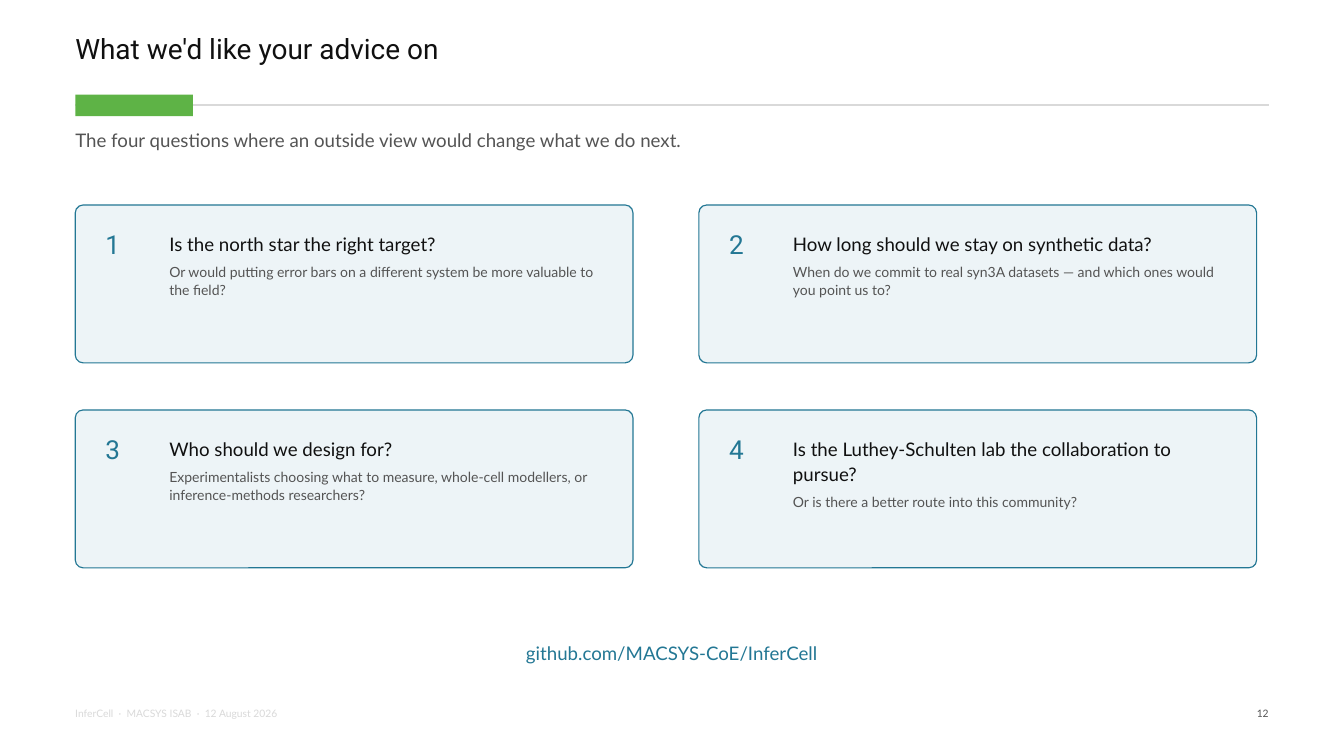
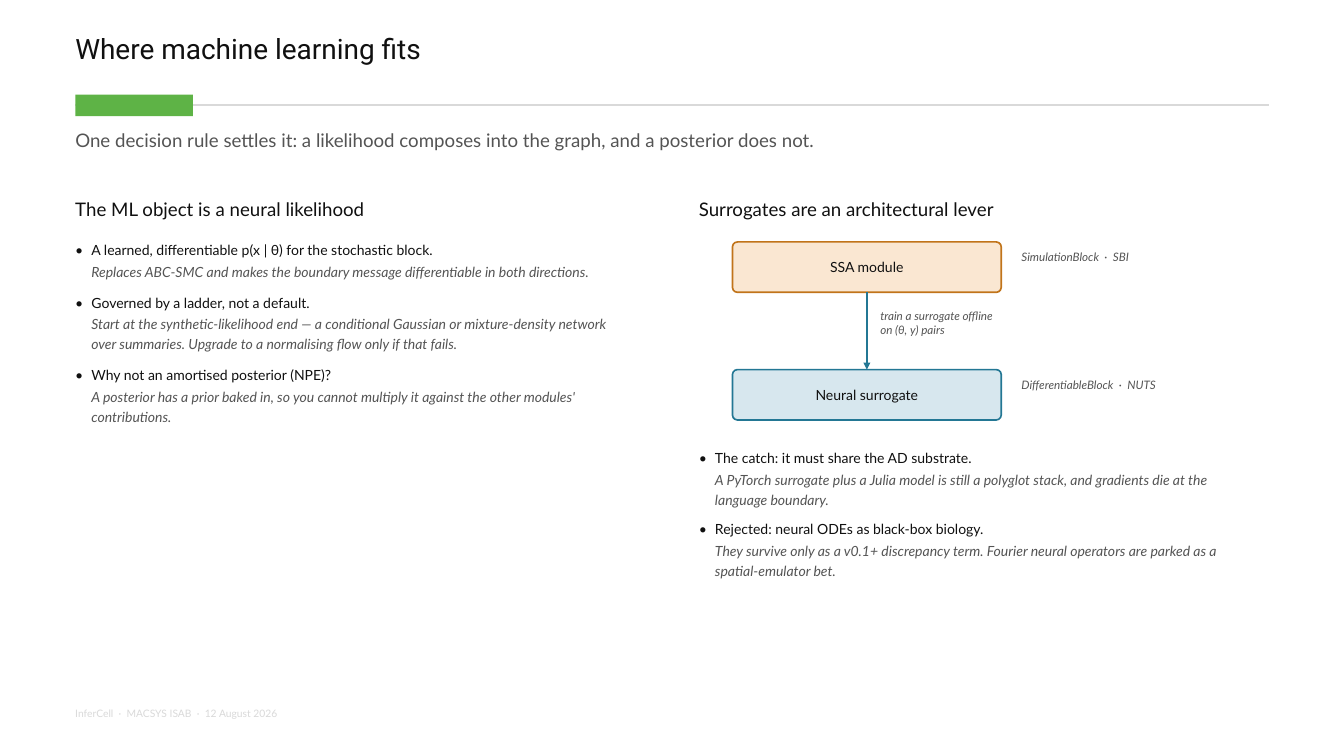
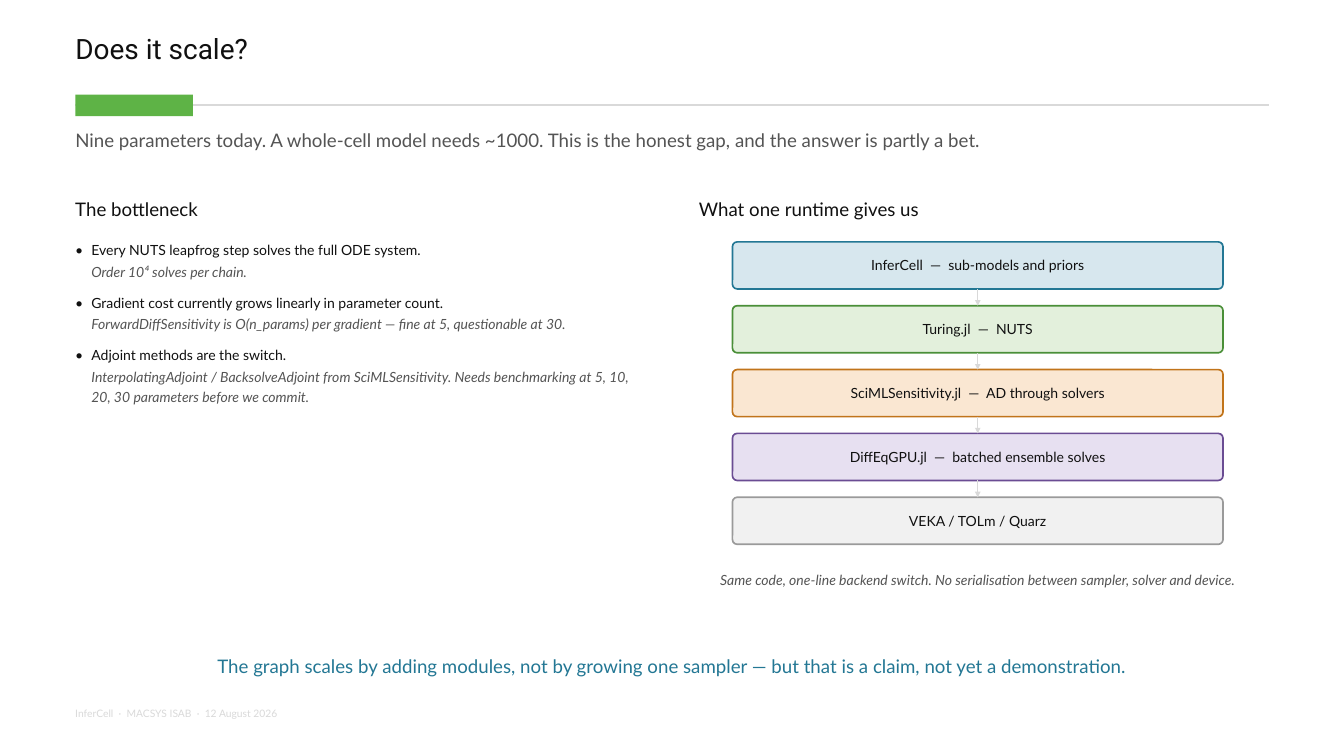
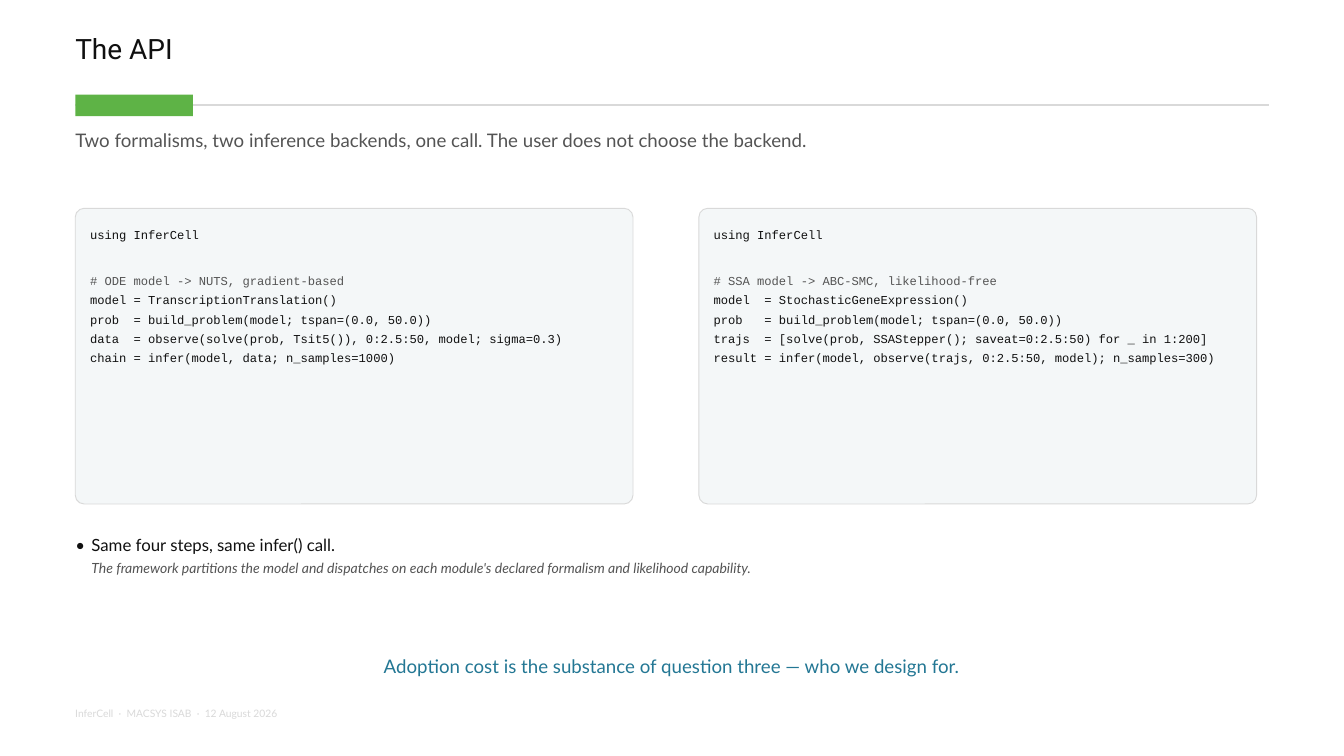
from typing import NamedTuple, Optional

import pptx
import pptx.util
from pptx.dml.color import RGBColor
from pptx.enum.shapes import MSO_CONNECTOR, MSO_SHAPE
from pptx.enum.text import MSO_ANCHOR, PP_ALIGN
from pptx.oxml.ns import qn
from pptx.util import Inches
import lxml.etree

# Palette
INK = RGBColor(0x10, 0x10, 0x10)
GREY = RGBColor(0x54, 0x54, 0x54)
RULE = RGBColor(0xD9, 0xD9, 0xD9)
ACCENT = RGBColor(0x5E, 0xB3, 0x46)
TEAL = RGBColor(0x23, 0x77, 0x94)
TEAL_TINT = RGBColor(0xD7, 0xE7, 0xEE)
CARD_TINT = RGBColor(0xED, 0xF4, 0xF7)
CODE_TINT = RGBColor(0xF4, 0xF7, 0xF8)
GREEN = RGBColor(0x4A, 0x8F, 0x38)
GREEN_TINT = RGBColor(0xE3, 0xF0, 0xDC)
ORANGE = RGBColor(0xC1, 0x74, 0x1A)
ORANGE_TINT = RGBColor(0xFA, 0xE7, 0xD2)
PURPLE = RGBColor(0x6A, 0x4C, 0x93)
PURPLE_TINT = RGBColor(0xE7, 0xE0, 0xF1)
SILVER = RGBColor(0x9A, 0x9A, 0x9A)
SILVER_TINT = RGBColor(0xF1, 0xF1, 0xF1)

# Fonts
BODY = "Lato"
HEAD = "Roboto"
MONO = "Courier New"

# Shared grid, in inches
LEFT, RIGHT, FULL_W = 1.12, 18.88, 17.75
COLUMNS = (1.12, 10.4)
COL_W = 8.3
STACK_X, STACK_Y = 10.9, 3.6
HANG = 0.24
FOOTER = "InferCell  ·  MACSYS ISAB  ·  12 August 2026"


class Box(NamedTuple):
    """Left, top, width and height in inches."""
    x: float
    y: float
    w: float
    h: float

    def emu(self) -> list:
        return [Inches(v) for v in self]


class Style(NamedTuple):
    fill: RGBColor
    line: Optional[RGBColor] = None
    weight: float = 1.75
    radius: float = 0.1


class Point(NamedTuple):
    """A bullet with its explanation in italics."""
    claim: str
    detail: str


class Layer(NamedTuple):
    label: str
    style: Style


TEAL_NODE = Style(TEAL_TINT, TEAL)
ORANGE_NODE = Style(ORANGE_TINT, ORANGE)
CARD = Style(CARD_TINT, TEAL, 1.25, 0.05)
CODE_PANEL = Style(CODE_TINT, RULE, 1, 0.03)


# Drawing helpers
def write(tf, text: str, *, size: float = 15, color: RGBColor = INK,
          font: str = BODY, italic: bool = False, align=None,
          spacing: Optional[float] = None, before: float = 0,
          indent: float = 0, bullet: bool = False) -> None:
    """Add one formatted paragraph, filling the empty first one if there is one."""
    p = tf.paragraphs[0]
    if p.runs:
        p = tf.add_paragraph()
    if align is not None:
        p.alignment = align
    if spacing:
        p.line_spacing = spacing
    if before:
        p.space_before = pptx.util.Pt(before)
    if indent:
        pPr = p._p.get_or_add_pPr()
        pPr.set("marL", str(Inches(indent)))
        pPr.set("indent", str(-Inches(indent) if bullet else 0))
        if bullet:
            lxml.etree.SubElement(pPr, qn("a:buFont")).set("typeface", BODY)
            lxml.etree.SubElement(pPr, qn("a:buChar")).set("char", "•")
    r = p.add_run()
    r.text = text
    r.font.size = pptx.util.Pt(size)
    r.font.name = font
    r.font.italic = italic
    r.font.color.rgb = color


def add_frame(slide, box: Box, wrap: bool = True):
    tf = slide.shapes.add_textbox(*box.emu()).text_frame
    tf.word_wrap = wrap
    tf.margin_left = tf.margin_right = tf.margin_top = tf.margin_bottom = 0
    return tf


def add_text(slide, box: Box, *lines: str, **fmt) -> None:
    tf = add_frame(slide, box)
    for line in lines:
        write(tf, line, **fmt)


def add_panel(slide, box: Box, style: Style, kind=MSO_SHAPE.ROUNDED_RECTANGLE):
    sp = slide.shapes.add_shape(kind, *box.emu())
    sp.shadow.inherit = False
    sp.fill.solid()
    sp.fill.fore_color.rgb = style.fill
    if style.line is None:
        sp.line.fill.background()
    else:
        sp.line.color.rgb = style.line
        sp.line.width = pptx.util.Pt(style.weight)
    if kind == MSO_SHAPE.ROUNDED_RECTANGLE:
        sp.adjustments[0] = style.radius
    return sp


def add_node(slide, box: Box, layer: Layer):
    sp = add_panel(slide, box, layer.style)
    tf = sp.text_frame
    tf.word_wrap = True
    tf.vertical_anchor = MSO_ANCHOR.MIDDLE
    tf.margin_left = tf.margin_right = Inches(0.06)
    tf.margin_top = tf.margin_bottom = Inches(0.03)
    write(tf, layer.label, align=PP_ALIGN.CENTER)
    return sp


def add_line(slide, start: tuple, end: tuple, color: RGBColor, weight: float):
    cx = slide.shapes.add_connector(
        MSO_CONNECTOR.STRAIGHT, *[Inches(v) for v in start + end])
    cx.line.color.rgb = color
    cx.line.width = pptx.util.Pt(weight)
    lxml.etree.SubElement(cx._element.spPr, qn("a:effectLst"))
    return cx


def add_down_arrow(slide, upper, lower, color: RGBColor, weight: float) -> None:
    cx = add_line(slide, (0, 0), (0, 0), color, weight)
    cx.begin_connect(upper, 2)
    cx.end_connect(lower, 0)
    ln = cx._element.spPr.find(qn("a:ln"))
    lxml.etree.SubElement(ln, qn("a:tailEnd")).set("type", "triangle")


def add_points(slide, box: Box, points: list, gap: float = 12,
               size: float = 15) -> None:
    tf = add_frame(slide, box)
    for i, point in enumerate(points):
        write(tf, point.claim, size=size, spacing=1.18, indent=HANG,
              bullet=True, before=gap if i else 0)
        write(tf, point.detail, color=GREY, italic=True, spacing=1.18,
              indent=HANG, before=2)


def add_heading(slide, x: float, text: str) -> None:
    add_text(slide, Box(x, 2.95, COL_W, 0.42), text, size=20)


def add_takeaway(slide, text: str, y: float = 9.75) -> None:
    add_text(slide, Box(LEFT, y, FULL_W, 0.5), text, size=20, color=TEAL,
             align=PP_ALIGN.CENTER)


def new_slide(prs, title: str, lead: str, number: str = ""):
    """Start a slide with the title, green band, lead sentence and footer."""
    s = prs.slides.add_slide(prs.slide_layouts[6])
    add_text(s, Box(LEFT, 0.51, FULL_W, 0.95), title, size=30, font=HEAD,
             spacing=0.95)
    add_line(s, (LEFT, 1.56), (RIGHT, 1.56), RULE, 1.5)
    add_panel(s, Box(LEFT, 1.41, 1.75, 0.32), Style(ACCENT), MSO_SHAPE.RECTANGLE)
    add_text(s, Box(LEFT, 1.92, FULL_W, 0.55), lead, size=20, color=GREY)
    add_text(s, Box(LEFT, 10.52, 12.43, 0.32), FOOTER, size=11, color=RULE)
    if number:
        add_text(s, Box(17.68, 10.52, 1.2, 0.32), number, size=11, color=GREY,
                 align=PP_ALIGN.RIGHT)
    return s


# Slides
def advice_slide(prs) -> None:
    s = new_slide(
        prs, "What we'd like your advice on",
        "The four questions where an outside view would change what we do next.",
        number="12")
    questions = [
        Point("Is the north star the right target?",
              "Or would putting error bars on a different system be more "
              "valuable to the field?"),
        Point("How long should we stay on synthetic data?",
              "When do we commit to real syn3A datasets — and which ones would "
              "you point us to?"),
        Point("Who should we design for?",
              "Experimentalists choosing what to measure, whole-cell modellers, "
              "or inference-methods researchers?"),
        Point("Is the Luthey-Schulten lab the collaboration to pursue?",
              "Or is there a better route into this community?"),
    ]
    for i, question in enumerate(questions):
        x, y = COLUMNS[i % 2], 3.05 + 3.05 * (i // 2)
        add_panel(s, Box(x, y, COL_W, 2.35), CARD)
        add_text(s, Box(x + 0.45, y + 0.35, 0.9, 0.6), str(i + 1), size=28,
                 font=HEAD, color=TEAL)
        tf = add_frame(s, Box(x + 1.4, y + 0.38, 6.5, 1.7))
        write(tf, question.claim, size=20, spacing=1.12)
        write(tf, question.detail, color=GREY, spacing=1.12, before=6)
    add_takeaway(s, "github.com/MACSYS-CoE/InferCell", y=9.55)


def machine_learning_slide(prs) -> None:
    s = new_slide(
        prs, "Where machine learning fits",
        "One decision rule settles it: a likelihood composes into the graph, "
        "and a posterior does not.")
    left, right = COLUMNS
    add_heading(s, left, "The ML object is a neural likelihood")
    add_points(s, Box(left, 3.55, COL_W, 5.2), [
        Point("A learned, differentiable p(x | θ) for the stochastic block.",
              "Replaces ABC-SMC and makes the boundary message differentiable "
              "in both directions."),
        Point("Governed by a ladder, not a default.",
              "Start at the synthetic-likelihood end — a conditional Gaussian or "
              "mixture-density network over summaries. Upgrade to a normalising "
              "flow only if that fails."),
        Point("Why not an amortised posterior (NPE)?",
              "A posterior has a prior baked in, so you cannot multiply it "
              "against the other modules' contributions."),
    ])

    # Simulator replaced by its surrogate
    add_heading(s, right, "Surrogates are an architectural lever")
    note = dict(size=12.5, color=GREY, italic=True)
    modules = [
        (Layer("SSA module", ORANGE_NODE), "SimulationBlock  ·  SBI"),
        (Layer("Neural surrogate", TEAL_NODE), "DifferentiableBlock  ·  NUTS"),
    ]
    nodes = []
    for i, (layer, caption) in enumerate(modules):
        y = STACK_Y + 1.9 * i
        nodes.append(add_node(s, Box(STACK_X, y, 4, 0.75), layer))
        add_text(s, Box(15.2, y + 0.12, 3.4, 0.5), caption, **note)
    add_down_arrow(s, *nodes, TEAL, 2.5)
    add_text(s, Box(13.1, 4.6, 5, 0.7), "train a surrogate offline",
             "on (θ, y) pairs", **note)
    add_points(s, Box(right, 6.65, COL_W, 2.6), [
        Point("The catch: it must share the AD substrate.",
              "A PyTorch surrogate plus a Julia model is still a polyglot stack, "
              "and gradients die at the language boundary."),
        Point("Rejected: neural ODEs as black-box biology.",
              "They survive only as a v0.1+ discrepancy term. Fourier neural "
              "operators are parked as a spatial-emulator bet."),
    ], gap=10)


def scaling_slide(prs) -> None:
    s = new_slide(
        prs, "Does it scale?",
        "Nine parameters today. A whole-cell model needs ~1000. This is the "
        "honest gap, and the answer is partly a bet.")
    left, right = COLUMNS
    add_heading(s, left, "The bottleneck")
    add_points(s, Box(left, 3.55, COL_W, 4.6), [
        Point("Every NUTS leapfrog step solves the full ODE system.",
              "Order 10⁴ solves per chain."),
        Point("Gradient cost currently grows linearly in parameter count.",
              "ForwardDiffSensitivity is O(n_params) per gradient — fine at 5, "
              "questionable at 30."),
        Point("Adjoint methods are the switch.",
              "InterpolatingAdjoint / BacksolveAdjoint from SciMLSensitivity. "
              "Needs benchmarking at 5, 10, 20, 30 parameters before we commit."),
    ])

    # Runtime stack, top to bottom
    add_heading(s, right, "What one runtime gives us")
    layers = [
        Layer("InferCell  —  sub-models and priors", TEAL_NODE),
        Layer("Turing.jl  —  NUTS", Style(GREEN_TINT, GREEN)),
        Layer("SciMLSensitivity.jl  —  AD through solvers", ORANGE_NODE),
        Layer("DiffEqGPU.jl  —  batched ensemble solves",
              Style(PURPLE_TINT, PURPLE)),
        Layer("VEKA / TOLm / Quarz", Style(SILVER_TINT, SILVER)),
    ]
    above = None
    for i, layer in enumerate(layers):
        node = add_node(s, Box(STACK_X, STACK_Y + 0.95 * i, 7.3, 0.7), layer)
        if above is not None:
            add_down_arrow(s, above, node, RULE, 1.5)
        above = node
    add_text(s, Box(right, 8.5, COL_W, 0.5),
             "Same code, one-line backend switch. No serialisation between "
             "sampler, solver and device.",
             color=GREY, italic=True, align=PP_ALIGN.CENTER)
    add_takeaway(s, "The graph scales by adding modules, not by growing one "
                    "sampler — but that is a claim, not yet a demonstration.")


def api_slide(prs) -> None:
    s = new_slide(
        prs, "The API",
        "Two formalisms, two inference backends, one call. The user does not "
        "choose the backend.")
    listings = [
        ["using InferCell",
         "# ODE model -> NUTS, gradient-based",
         "model = TranscriptionTranslation()",
         "prob  = build_problem(model; tspan=(0.0, 50.0))",
         "data  = observe(solve(prob, Tsit5()), 0:2.5:50, model; sigma=0.3)",
         "chain = infer(model, data; n_samples=1000)"],
        ["using InferCell",
         "# SSA model -> ABC-SMC, likelihood-free",
         "model  = StochasticGeneExpression()",
         "prob   = build_problem(model; tspan=(0.0, 50.0))",
         "trajs  = [solve(prob, SSAStepper(); saveat=0:2.5:50) for _ in 1:200]",
         "result = infer(model, observe(trajs, 0:2.5:50, model); n_samples=300)"],
    ]
    for x, listing in zip(COLUMNS, listings):
        add_panel(s, Box(x, 3.1, COL_W, 4.4), CODE_PANEL)
        tf = add_frame(s, Box(x + 0.22, 3.32, 7.86, 3.96), wrap=False)
        for line in listing:
            comment = line.startswith("#")
            write(tf, line, size=13, font=MONO, spacing=1.32,
                  color=GREY if comment else INK, before=28.5 if comment else 0)
    add_points(s, Box(LEFT, 7.9, FULL_W, 1.6), [
        Point("Same four steps, same infer() call.",
              "The framework partitions the model and dispatches on each "
              "module's declared formalism and likelihood capability."),
    ], size=18)
    add_takeaway(s, "Adoption cost is the substance of question three — who we "
                    "design for.")


def main() -> None:
    prs = pptx.Presentation()
    prs.slide_width, prs.slide_height = Inches(20), Inches(11.25)
    advice_slide(prs)
    machine_learning_slide(prs)
    scaling_slide(prs)
    api_slide(prs)
    prs.save("out.pptx")


if __name__ == "__main__":
    main()
